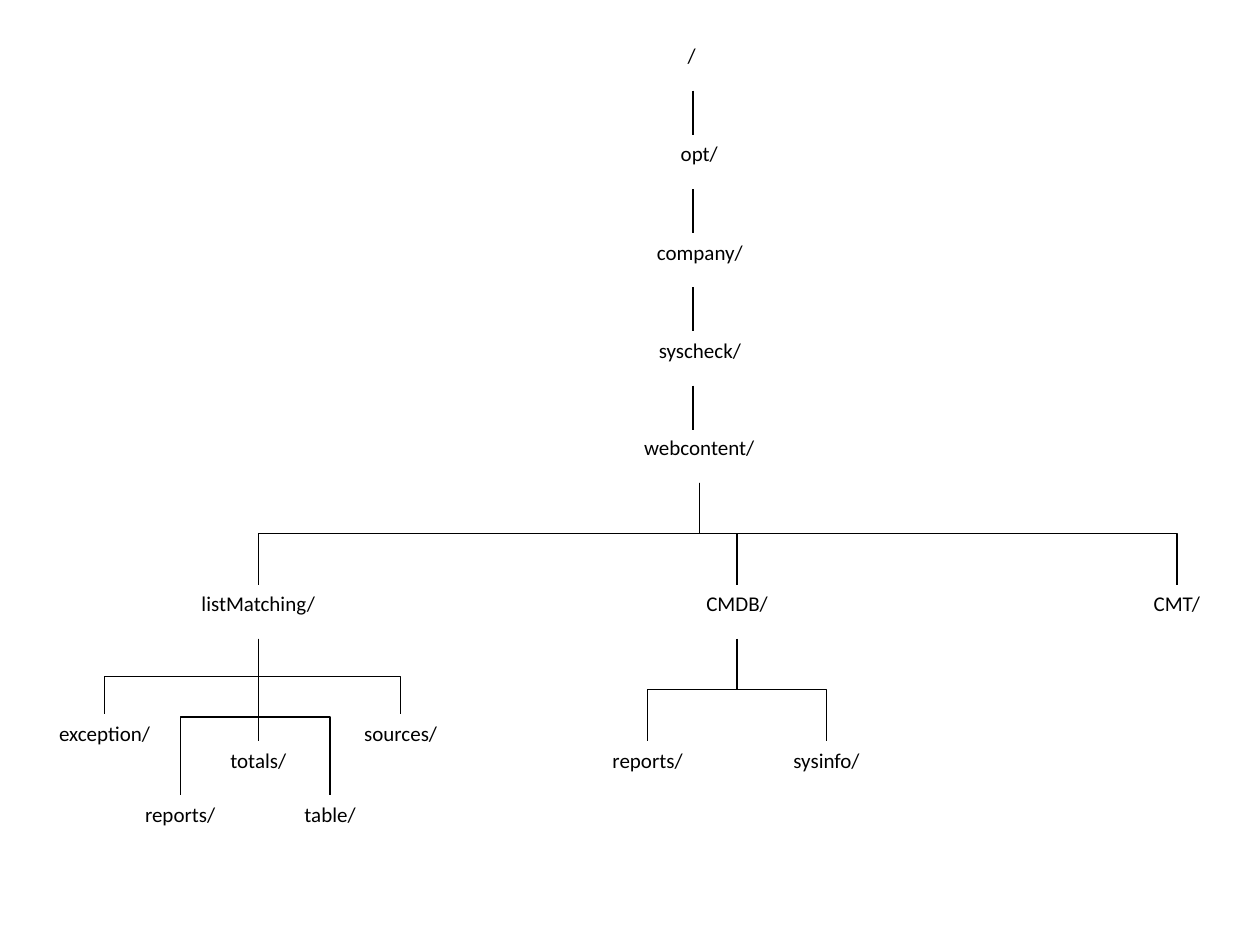
from pptx import Presentation
from pptx.dml.color import RGBColor
from pptx.enum.shapes import MSO_CONNECTOR
from pptx.enum.text import MSO_AUTO_SIZE, PP_ALIGN
from pptx.oxml.ns import qn
from pptx.util import Inches, Pt
from lxml.etree import SubElement

COLORS = {"ink": "000000", "paper": "FFFFFF"}
INK = RGBColor.from_string(COLORS["ink"])
LABEL_FORMAT = {"name": "Calibri", "size": Pt(12)}
FRAME_FORMAT = {"word_wrap": True, "auto_size": MSO_AUTO_SIZE.SHAPE_TO_FIT_TEXT}
LABEL_HEIGHT = 0.43

ANCESTORS = [
    ("/", 5.36, 0.39, PP_ALIGN.LEFT),
    ("opt/", 5.14, 0.82, PP_ALIGN.CENTER),
    ("company/", 4.41, 2.29, PP_ALIGN.CENTER),
    ("syscheck/", 4.41, 2.29, PP_ALIGN.CENTER),
]
LIST_MATCHING = [
    ("exception/", -1.22, 0.6, []),
    ("sources/", 1.13, 0.6, []),
    ("reports/", -0.62, 1.24, []),
    ("table/", 0.57, 1.24, []),
    ("totals/", 0, 0.81, []),
]
CMDB = [("reports/", -0.71, 0.81, []), ("sysinfo/", 0.71, 0.81, [])]
WEBCONTENT = [
    ("CMDB/", 0.3, 0.81, CMDB),
    ("listMatching/", -3.5, 0.81, LIST_MATCHING),
    ("CMT/", 3.79, 0.81, []),
]


def apply_format(target, values):
    """Set each attribute in values on the target."""
    for attribute, value in values.items():
        setattr(target, attribute, value)


def add_folder(slide, name, left, top, width, alignment=PP_ALIGN.CENTER):
    """Write a folder name in the given box."""
    folder = slide.shapes.add_textbox(
        Inches(left), Inches(top), Inches(width), Inches(LABEL_HEIGHT))
    apply_format(folder.text_frame, FRAME_FORMAT)
    paragraph = folder.text_frame.paragraphs[0]
    paragraph.alignment = alignment
    run = paragraph.add_run()
    run.text = name
    apply_format(run.font, LABEL_FORMAT)
    run.font.color.rgb = INK


def add_link(slide, kind, begin, end):
    """Draw a thin line of the given kind and return it."""
    link = slide.shapes.add_connector(
        kind, *(Inches(length) for length in (*begin, *end)))
    link.line.width = Pt(0.75)
    link.line.color.rgb = INK
    SubElement(link._element.spPr, qn("a:effectLst"))
    return link


def add_elbow(slide, x, y, shift, drop):
    """Draw an elbow that leaves downward and meets its child from above."""
    middle_x, middle_y = x + shift / 2, y + drop / 2
    side = 1 if shift > 0 else -1
    reach, rise = side * drop / 2, abs(shift) / 2
    elbow = add_link(slide, MSO_CONNECTOR.ELBOW,
                     (middle_x + reach, middle_y - rise),
                     (middle_x - reach, middle_y + rise))
    quarter_turns = 3 if shift > 0 else 1
    elbow._element.spPr.find(qn("a:xfrm")).set("rot", str(quarter_turns * 5400000))


def add_ancestors(slide, axis, top, pitch):
    """Stack the single-child folders down one axis."""
    for level, (name, left, width, alignment) in enumerate(ANCESTORS):
        folder_top = top + level * pitch
        bottom = folder_top + LABEL_HEIGHT
        add_folder(slide, name, left, folder_top, width, alignment)
        add_link(slide, MSO_CONNECTOR.STRAIGHT, (axis, bottom), (axis, folder_top + pitch))


def add_branch(slide, name, center, top, children, width=1.42):
    """Place a folder and, below it, all its subfolders."""
    add_folder(slide, name, center - width / 2, top, width)
    bottom = top + LABEL_HEIGHT
    for child, shift, drop, grandchildren in children:
        add_elbow(slide, center, bottom, shift, drop)
        add_branch(slide, child, center + shift, bottom + drop, grandchildren)


def build_directory_tree():
    """Build and save the directory tree slide."""
    deck = Presentation()
    apply_format(deck, {"slide_width": Inches(10), "slide_height": Inches(7.5)})
    slide = deck.slides.add_slide(deck.slide_layouts[6])
    slide.background.fill.solid()
    slide.background.fill.fore_color.rgb = RGBColor.from_string(COLORS["paper"])
    add_ancestors(slide, 5.5, 0.29, 0.78)
    add_branch(slide, "webcontent/", 5.55, 3.4, WEBCONTENT, 1.7)
    deck.save("out.pptx")


build_directory_tree()
